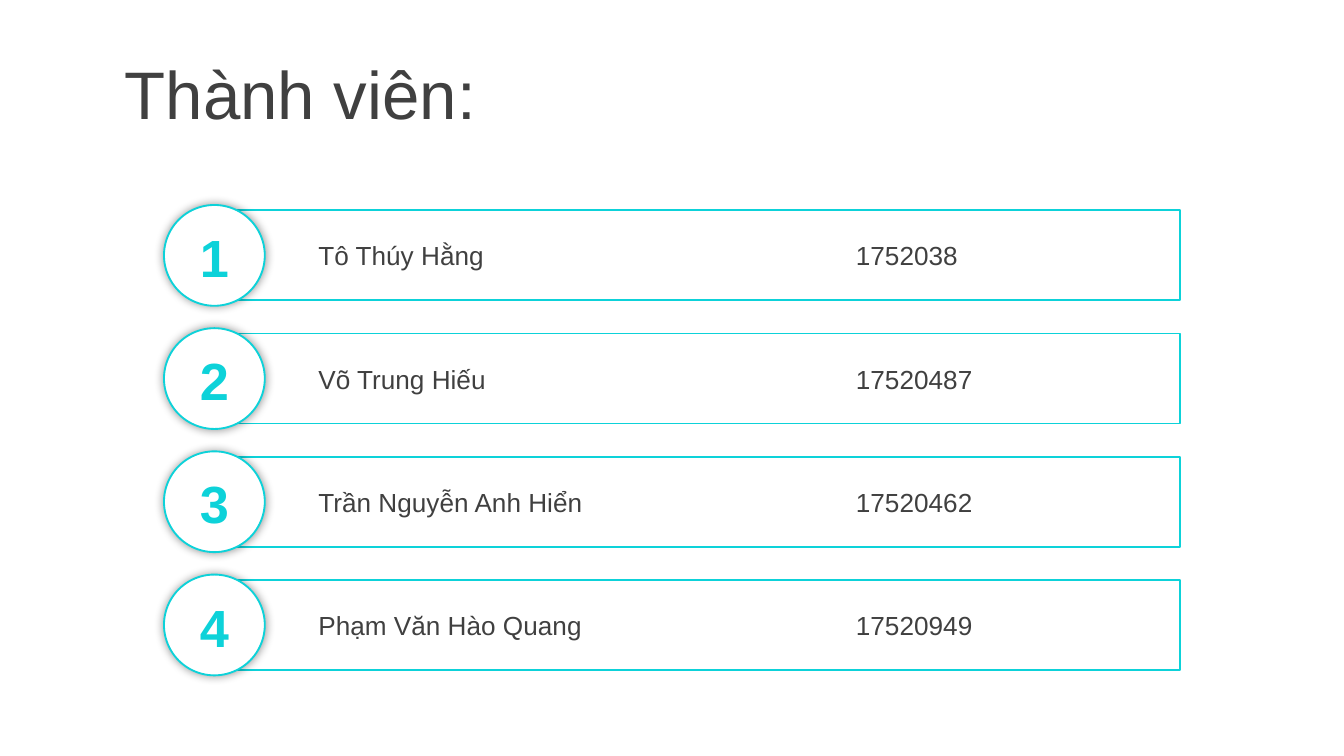
from dataclasses import dataclass

from lxml.etree import SubElement
from pptx import Presentation
from pptx.dml.color import RGBColor
from pptx.enum.shapes import MSO_SHAPE as Shape
from pptx.enum.text import MSO_ANCHOR as Anchor, PP_ALIGN as Align
from pptx.oxml.ns import qn
from pptx.util import Inches, Pt

COLORS = {"text": "404040", "accent": "0DD2D9", "white": "FFFFFF", "shadow": "000000"}
SLIDE_WIDTH = 10
SLIDE_HEIGHT = SLIDE_WIDTH * 9 / 16
FIRST_MIDDLE = 1.9
ROW_PITCH = 2.75 / 3
ID_TAB = 4


@dataclass
class Member:
    """A team member with a student number."""
    name: str
    student_id: str


MEMBERS = [
    Member("Tô Thúy Hằng", "1752038"),
    Member("Võ Trung Hiếu", "17520487"),
    Member("Trần Nguyễn Anh Hiển", "17520462"),
    Member("Phạm Văn Hào Quang", "17520949"),
]


def color(name: str) -> RGBColor:
    """Look up a colour of the palette."""
    return RGBColor.from_string(COLORS[name])


def add_text(page, text: str, left: float, middle: float, width: float, height: float,
             size: int, ink: str = "text", bold: bool = False, align=Align.LEFT):
    """Add a one-paragraph text box centred on a height and return its paragraph."""
    box = page.shapes.add_textbox(Inches(left), Inches(middle - height / 2),
                                  Inches(width), Inches(height))
    frame = box.text_frame
    frame.word_wrap = True
    frame.vertical_anchor = Anchor.MIDDLE
    para = frame.paragraphs[0]
    para.text = text
    para.alignment = align
    para.font.name = "Arial"
    para.font.size = Pt(size)
    para.font.bold = bold
    para.font.color.rgb = color(ink)
    return para


def add_outline(page, kind, left: float, middle: float, width: float, height: float):
    """Add a hollow shape with an accent outline, centred on a height."""
    shape = page.shapes.add_shape(kind, Inches(left), Inches(middle - height / 2),
                                  Inches(width), Inches(height))
    shape.fill.background()
    shape.line.color.rgb = color("accent")
    shape.line.width = Pt(1)
    shape.shadow.inherit = False
    return shape


def add_soft_shadow(shape) -> None:
    """Give a shape a soft shadow on all sides."""
    effects = shape._element.spPr.find(qn("a:effectLst"))
    shadow = SubElement(effects, qn("a:outerShdw"), blurRad=str(Pt(5)), dist="0",
                        dir="0", algn="ctr", rotWithShape="0")
    tint = SubElement(shadow, qn("a:srgbClr"), val=COLORS["shadow"])
    SubElement(tint, qn("a:alpha"), val="40000")


def add_tab_stop(para, position: float) -> None:
    """Set a left tab stop on a paragraph that has its font set."""
    properties = para._p.get_or_add_pPr()
    stops = SubElement(properties, qn("a:tabLst"))
    SubElement(stops, qn("a:tab"), pos=str(Inches(position)), algn="l")
    properties.find(qn("a:defRPr")).addprevious(stops)


def add_member(page, number: int, member: Member) -> None:
    """Draw one numbered row."""
    middle = FIRST_MIDDLE + (number - 1) * ROW_PITCH
    add_outline(page, Shape.RECTANGLE, 1.59, middle, 7.19, 0.67)
    para = add_text(page, f"{member.name}\t{member.student_id}", 2.27, middle, 6.28, 0.34, 14)
    add_tab_stop(para, ID_TAB)
    badge = add_outline(page, Shape.OVAL, 1.22, middle, 0.75, 0.75)
    badge.fill.solid()
    badge.fill.fore_color.rgb = color("white")
    add_soft_shadow(badge)
    add_text(page, str(number), 1.36, middle + 0.01, 0.47, 0.57, 28, "accent", True, Align.CENTER)


deck = Presentation()
deck.slide_width, deck.slide_height = Inches(SLIDE_WIDTH), Inches(SLIDE_HEIGHT)
page = deck.slides.add_slide(deck.slide_layouts[6])
add_text(page, "Thành viên:", 0.83, 0.69, 9.17, 0.63, 36)
for number, member in enumerate(MEMBERS, start=1):
    add_member(page, number, member)
deck.save("out.pptx")
